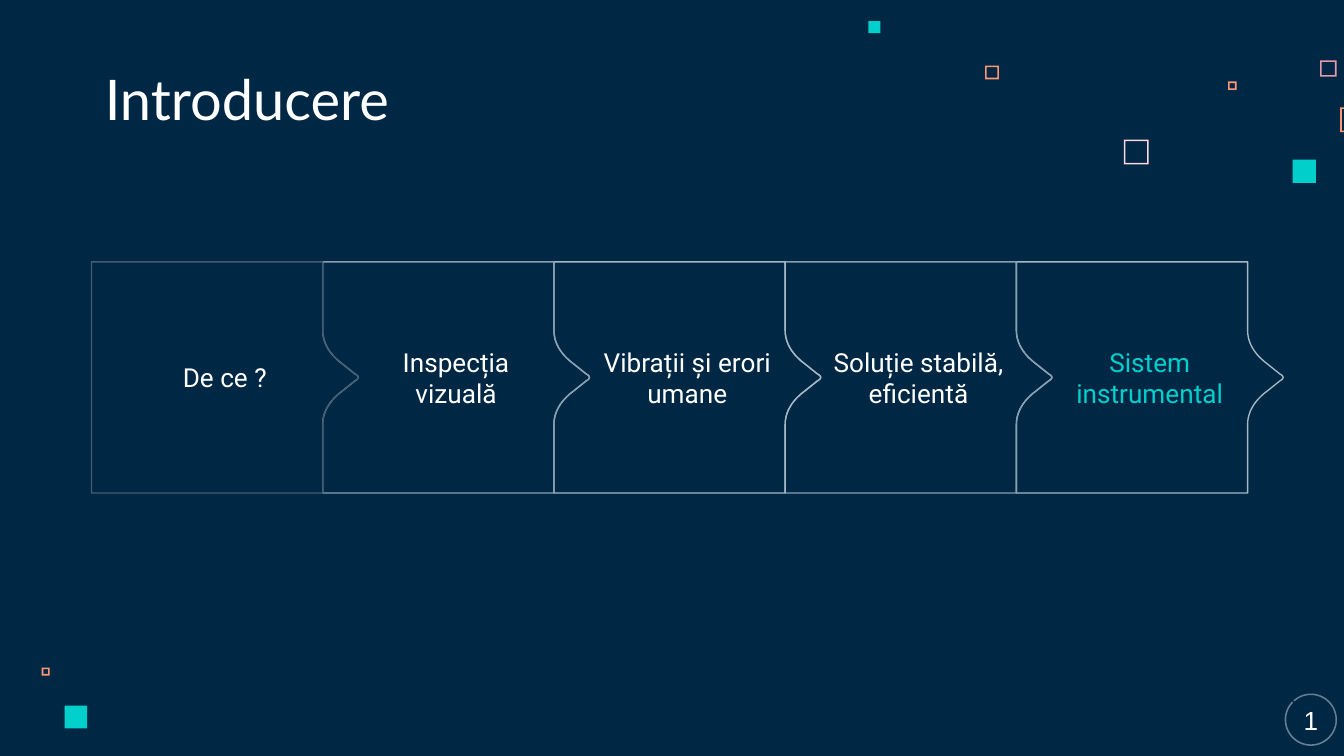
from pptx import Presentation
from pptx.dml.color import RGBColor
from pptx.enum.shapes import MSO_SHAPE as Preset
from pptx.enum.text import MSO_ANCHOR as Anchor, MSO_AUTO_SIZE as AutoSize, PP_ALIGN as Align
from pptx.util import Cm, Pt

COLORS = {
    "navy": "002845", "white": "FFFFFF", "teal": "00CFCC", "orange": "FF9973",
    "blush": "FFD6E1", "rose": "E898AC", "ring": "657E93",
    "dim": "445D73", "steel": "869FB1", "pale": "A5B7C5",
}
FRAME_FORMAT = {
    "word_wrap": True, "auto_size": AutoSize.NONE,
    "margin_left": Cm(0.25), "margin_right": Cm(0.25),
    "margin_top": Cm(0.25), "margin_bottom": Cm(0.25),
}


def color(name):
    return RGBColor.from_string(COLORS[name])


def write_text(shape, text, font_name, size, color_name, alignment, anchor):
    frame = shape.text_frame
    frame.text = text
    for attribute, value in {**FRAME_FORMAT, "vertical_anchor": anchor}.items():
        setattr(frame, attribute, value)
    for paragraph in frame.paragraphs:
        paragraph.alignment = alignment
        for attribute, value in {"name": font_name, "size": Pt(size), "bold": False}.items():
            setattr(paragraph.font, attribute, value)
        paragraph.font.color.rgb = color(color_name)


presentation = Presentation()
presentation.slide_width = Cm(25.4)
presentation.slide_height = Cm(14.29)
slide = presentation.slides.add_slide(presentation.slide_layouts[5])
slide.background.fill.solid()
slide.background.fill.fore_color.rgb = color("navy")

OUTLINE = 0.03
squares = [
    (21.24, 2.64, 0.47, "blush", False),
    (24.95, 1.14, 0.31, "rose", False),
    (23.21, 1.54, 0.16, "orange", False),
    (25.33, 2.03, 0.47, "orange", False),
    (24.43, 3.02, 0.44, "teal", True),
    (18.62, 1.24, 0.26, "orange", False),
    (16.41, 0.4, 0.23, "teal", True),
    (0.79, 12.62, 0.15, "orange", False),
    (1.22, 13.34, 0.43, "teal", True),
]
for left, top, size, color_name, solid in squares:
    preset = Preset.RECTANGLE if solid else Preset.FRAME
    square = slide.shapes.add_shape(preset, Cm(left), Cm(top), Cm(size), Cm(size))
    if not solid:
        square.adjustments[0] = OUTLINE / size
    square.shadow.inherit = False
    square.fill.solid()
    square.fill.fore_color.rgb = color(color_name)
    square.line.fill.background()

title = slide.shapes.title
title.left, title.top, title.width, title.height = Cm(1.73), Cm(1.14), Cm(12.7), Cm(1.6)
write_text(title, "Introducere", "Lato", 30, "white", Align.LEFT, Anchor.BOTTOM)

ring = slide.shapes.add_shape(Preset.BLOCK_ARC, Cm(24.28), Cm(13.11), Cm(0.99), Cm(0.99))
for index, value in enumerate((136.8, 134.4, 0.03)):
    ring.adjustments[index] = value
ring.shadow.inherit = False
ring.fill.solid()
ring.fill.fore_color.rgb = color("ring")
ring.line.fill.background()
page_number = slide.shapes.add_textbox(Cm(24.28), Cm(13.18), Cm(0.99), Cm(0.86))
write_text(page_number, "1", "Arial", 14, "white", Align.CENTER, Anchor.MIDDLE)

STEP_LEFT, STEP_TOP, STEP_SIZE = 1.73, 4.95, 4.37
CURVES = [
    ((0, 1.3), (0, 1.52), (0.12, 1.74), (0.36, 1.92)),
    ((0.61, 2.12), (0.69, 2.16), (0.69, 2.21), (0.61, 2.25)),
    ((0.36, 2.45), (0.12, 2.63), (0, 2.85), (0, 3.07)),
]
SEGMENTS = 12
edge = [(0, 0)]
for curve in CURVES:
    for i in range(SEGMENTS + 1):
        t = i / SEGMENTS
        weights = ((1 - t) ** 3, 3 * t * (1 - t) ** 2, 3 * t ** 2 * (1 - t), t ** 3)
        edge.append(tuple(sum(w * point[axis] for w, point in zip(weights, curve)) for axis in (0, 1)))
edge.append((0, STEP_SIZE))

steps = [
    ("De ce ?", "dim", "white"),
    ("Inspecția\nvizuală", "steel", "white"),
    ("Vibrații și erori umane", "pale", "white"),
    ("Soluție stabilă, eficientă", "steel", "white"),
    ("Sistem\ninstrumental", "pale", "teal"),
]
for number, (text, line_color, text_color) in reversed(list(enumerate(steps))):
    left = STEP_LEFT + number * STEP_SIZE
    left_edge = edge if number else [edge[0], edge[-1]]
    outline = left_edge + [(x + STEP_SIZE, y) for x, y in reversed(edge)]
    points = [(Cm(left + x), Cm(STEP_TOP + y)) for x, y in outline]
    builder = slide.shapes.build_freeform(*points[0])
    builder.add_line_segments(points[1:], close=True)
    step = builder.convert_to_shape()
    step.shadow.inherit = False
    step.fill.background()
    step.line.color.rgb = color(line_color)
    step.line.width = Pt(0.75)
    write_text(step, text, "Roboto", 14, text_color, Align.CENTER, Anchor.MIDDLE)

presentation.save("out.pptx")
